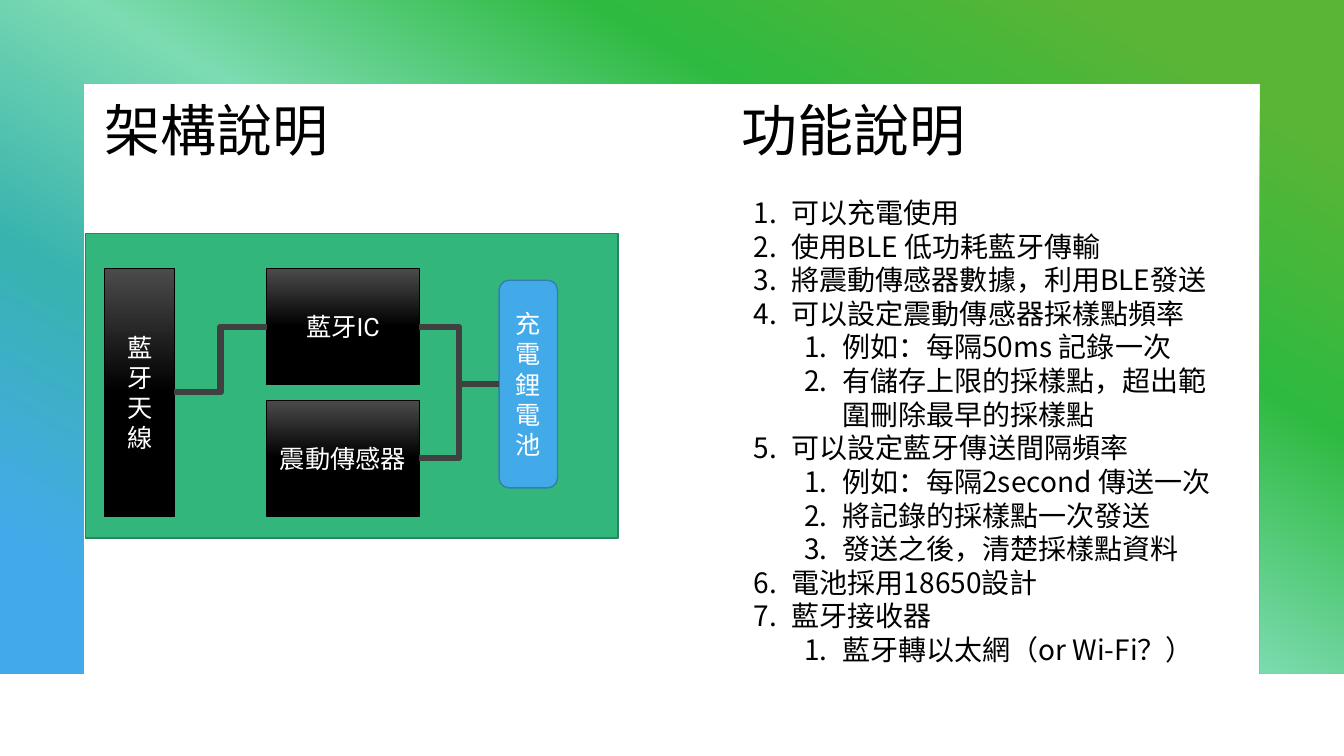
import pptx
import pptx.dml.color
import pptx.enum.dml
import pptx.enum.shapes
import pptx.enum.text
import pptx.oxml.ns
import pptx.util
from dataclasses import dataclass
from lxml import etree

Pt = pptx.util.Pt
qn = pptx.oxml.ns.qn
Shape = pptx.enum.shapes.MSO_SHAPE
Align = pptx.enum.text.PP_ALIGN
Anchor = pptx.enum.text.MSO_ANCHOR


@dataclass
class Theme:
    ink: str = "000000"
    light: str = "FFFFFF"
    board: str = "32B67B"
    board_edge: str = "25875B"
    cell: str = "43AAEA"
    cell_edge: str = "327EAD"
    wire: str = "404040"
    chip: tuple = ((0, "4B4B4B"), (50, "000000"), (100, "000000"))
    frame: tuple = ((10, "5AB536"), (30, "2EBA40"), (50, "7CDBB1"),
                    (70, "38B3AF"), (90, "43AAEA"))
    font: str = "Roboto"
    list_font: str = "Noto Sans CJK SC"
    title: int = 40
    body: int = 20
    label: int = 18


def color(code):
    return pptx.dml.color.RGBColor.from_string(code)


class Page:
    """Draws on one slide; all lengths are in points."""

    def __init__(self, slide, theme):
        self.shapes = slide.shapes
        self.theme = theme

    def blend(self, shape, stops, angle):
        """Fill with (percent, colour) stops, angle clockwise in degrees."""
        shape.fill.gradient()
        shape.fill.gradient_angle = 360 - angle
        stop_list = shape._element.spPr.find(qn("a:gradFill")).find(qn("a:gsLst"))
        for old in list(stop_list):
            stop_list.remove(old)
        for place, code in stops:
            stop = etree.SubElement(stop_list, qn("a:gs"), pos=str(place * 1000))
            etree.SubElement(stop, qn("a:srgbClr"), val=code)

    def style(self, frame, size, font, code):
        for para in frame.paragraphs:
            for run in para.runs:
                run.font.size = Pt(size)
                run.font.name = font
                run.font.color.rgb = color(code)

    def frame(self, points):
        pen = self.shapes.build_freeform(*points[0], scale=Pt(1))
        pen.add_line_segments(points[1:], close=True)
        shape = pen.convert_to_shape()
        shape.shadow.inherit = False
        shape.line.fill.background()
        self.blend(shape, self.theme.frame, 120)

    def block(self, box, fill, edge, width, kind=Shape.RECTANGLE, text=""):
        """Add a filled shape; fill is one colour or a tuple of stops."""
        shape = self.shapes.add_shape(kind, *map(Pt, box))
        shape.shadow.inherit = False
        if isinstance(fill, tuple):
            self.blend(shape, fill, 90)
        else:
            shape.fill.solid()
            shape.fill.fore_color.rgb = color(fill)
        shape.line.color.rgb = color(edge)
        shape.line.width = Pt(width)
        frame = shape.text_frame
        frame.word_wrap = True
        frame.vertical_anchor = Anchor.MIDDLE
        frame.text = text
        frame.paragraphs[0].alignment = Align.CENTER
        self.style(frame, self.theme.label, self.theme.font, self.theme.light)
        return shape

    def chip(self, box, text):
        return self.block(box, self.theme.chip, self.theme.ink, 0.5, text=text)

    def wire(self, start, start_side, end, end_side):
        line = self.shapes.add_connector(
            pptx.enum.shapes.MSO_CONNECTOR.ELBOW, 0, 0, 0, 0)
        line.begin_connect(start, start_side)
        line.end_connect(end, end_side)
        line.line.color.rgb = color(self.theme.wire)
        line.line.width = Pt(4.5)
        etree.SubElement(line._element.spPr, qn("a:effectLst"))

    def text(self, box, text, size, font):
        frame = self.shapes.add_textbox(*map(Pt, box)).text_frame
        frame.word_wrap = True
        frame.text = text
        self.style(frame, size, font, self.theme.ink)
        return frame

    def outline(self, box, items):
        """Add a numbered list of (level, text) items."""
        text = "\n".join(words for _, words in items)
        frame = self.text(box, text, self.theme.body, self.theme.list_font)
        for para, (level, _) in zip(frame.paragraphs, items):
            para.level = level
            props = para._p.get_or_add_pPr()
            props.set("marL", str(Pt(27 + 36 * level)))
            props.set("indent", str(Pt(-27)))
            etree.SubElement(props, qn("a:buFont"), typeface="+mj-lt")
            etree.SubElement(props, qn("a:buAutoNum"), type="arabicPeriod")


FEATURES = [
    (0, "可以充電使用"),
    (0, "使用BLE 低功耗藍牙傳輸"),
    (0, "將震動傳感器數據，利用BLE發送"),
    (0, "可以設定震動傳感器採樣點頻率"),
    (1, "例如：每隔50ms 記錄一次"),
    (1, "有儲存上限的採樣點，超出範圍刪除最早的採樣點"),
    (0, "可以設定藍牙傳送間隔頻率"),
    (1, "例如：每隔2second 傳送一次"),
    (1, "將記錄的採樣點一次發送"),
    (1, "發送之後，清楚採樣點資料"),
    (0, "電池採用18650設計"),
    (0, "藍牙接收器"),
    (1, "藍牙轉以太網（or Wi-Fi？）"),
]


def main():
    deck = pptx.Presentation()
    deck.slide_width, deck.slide_height = Pt(960), Pt(540)
    theme = Theme()
    page = Page(deck.slides.add_slide(deck.slide_layouts[6]), theme)

    page.frame([(0, 0), (960, 0), (960, 481), (900.5, 481), (900.5, 60.5),
                (60.5, 60.5), (60.5, 481), (0, 481)])
    page.block((61.2, 167, 380.2, 217.4), theme.board, theme.board_edge, 1)

    antenna = page.chip((74.9, 192, 49.7, 176.5), "藍牙天線")
    radio, sensor = [
        page.chip((190.6, 192 + 93.7 * row, 108.8, 82.8), name)
        for row, name in enumerate(["藍牙IC", "震動傳感器"])]
    battery = page.block((356.5, 200.2, 41.7, 148.3), theme.cell,
                         theme.cell_edge, 1, Shape.ROUNDED_RECTANGLE, "充電鋰電池")
    page.wire(antenna, 3, radio, 1)
    page.wire(battery, 1, radio, 3)
    page.wire(sensor, 3, battery, 1)

    for left, title in [(67.7, "架構說明"), (522.7, "功能說明")]:
        page.text((left, 64.8, 246.2, 55.4), title, theme.title, theme.font)
    page.outline((531.4, 136.1, 353.5, 346.3), FEATURES)
    deck.save("out.pptx")


if __name__ == "__main__":
    main()
